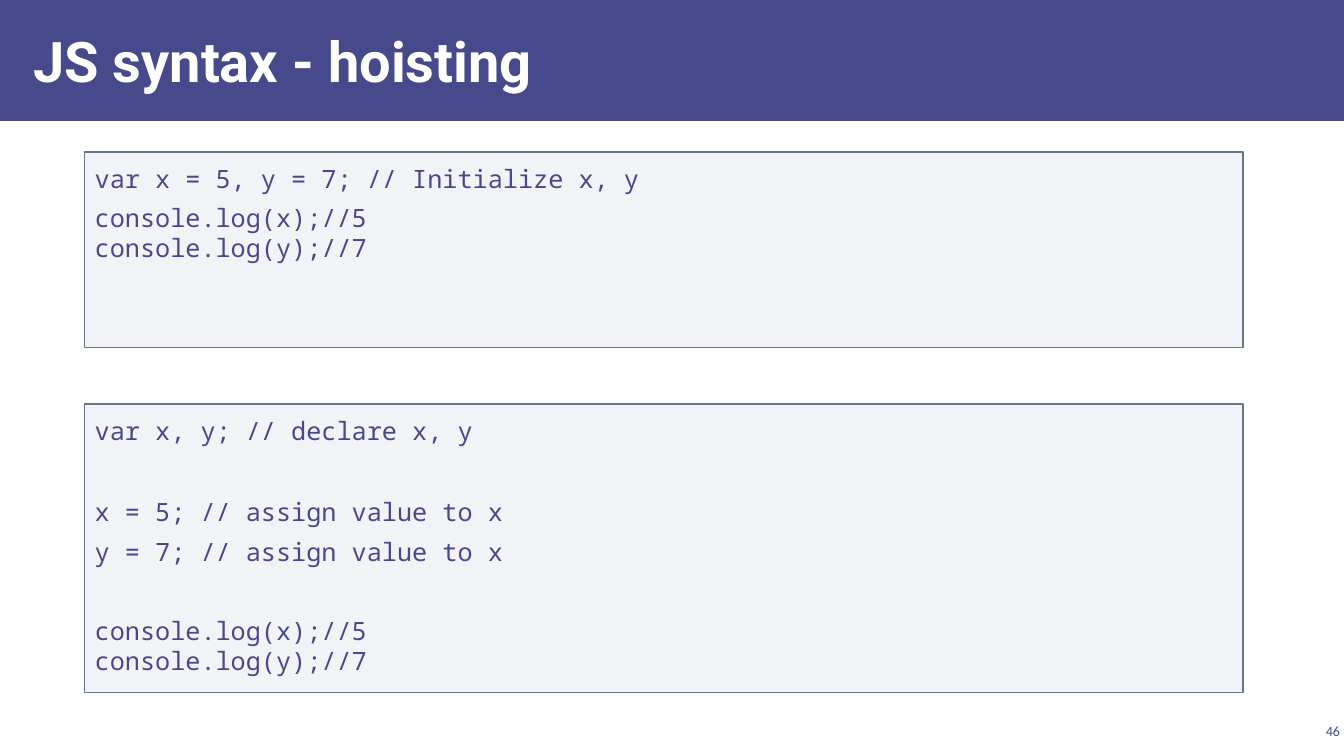
from lxml import etree
from pptx import Presentation
from pptx import util as u
from pptx.dml.color import RGBColor
from pptx.enum import shapes, text
from pptx.oxml.ns import qn

# Content: code lines as (text, line spacing, space before in points)
TITLE = "JS syntax - hoisting"
PAGE = "46"
LOOSE, TIGHT = 1.05, 1.0
GAP = 6
BREAK = 34.7  # gap plus the height of one skipped line
LOGS = ("console.log(x);//5", "console.log(y);//7")
PANELS = [  # top, height, code
    (1.51, 1.94, [
        ("var x = 5, y = 7; // Initialize x, y", LOOSE, 0),
        (LOGS[0], TIGHT, GAP),
        (LOGS[1], TIGHT, 0),
    ]),
    (4.01, 2.86, [
        ("var x, y; // declare x, y", LOOSE, 0),
        ("x = 5; // assign value to x", LOOSE, BREAK),
        ("y = 7; // assign value to x", LOOSE, GAP),
        (LOGS[0], TIGHT, BREAK),
        (LOGS[1], TIGHT, 0),
    ]),
]

INDIGO = RGBColor(0x47, 0x4A, 0x8A)
WHITE = RGBColor(0xFF, 0xFF, 0xFF)
GREY = RGBColor(0xAC, 0xB4, 0xC3)
SLATE = RGBColor(0x67, 0x74, 0x8E)
W, H = 13.33, 7.5
MARGIN, PANEL_W = 0.84, 11.49

prs = Presentation()
prs.slide_width, prs.slide_height = u.Inches(W), u.Inches(H)
s = prs.slides.add_slide(prs.slide_layouts[6])


def add_rect(x, y, w, h, fill):
    sp = s.shapes.add_shape(shapes.MSO_SHAPE.RECTANGLE, *map(u.Inches, (x, y, w, h)))
    sp.shadow.inherit = False
    sp.fill.solid()
    sp.fill.fore_color.rgb = fill
    sp.line.fill.background()
    return sp


def set_frame(sp, inset_x, inset_y, anchor):
    tf = sp.text_frame
    tf.word_wrap = True
    tf.margin_left = tf.margin_right = u.Inches(inset_x)
    tf.margin_top = tf.margin_bottom = u.Inches(inset_y)
    tf.vertical_anchor = anchor
    return tf


def write(p, words, font, size, color, bold=False, align=text.PP_ALIGN.LEFT):
    p.text = words
    p.alignment = align
    p.font.name, p.font.size, p.font.bold = font, u.Pt(size), bold
    p.font.color.rgb = color


# Title band
add_rect(0, 0, W, 0.16 * H, INDIGO)
title = s.shapes.add_textbox(*map(u.Inches, (0.21, 0.11, 10.4, 0.97)))
tf = set_frame(title, 0.12, 0.04, text.MSO_ANCHOR.MIDDLE)
write(tf.paragraphs[0], TITLE, "Roboto", 40, WHITE, bold=True)

# Page number
number = s.shapes.add_textbox(*map(u.Inches, (W - 0.47, 7.14, 0.47, 0.22)))
tf = set_frame(number, 0.04, 0.04, text.MSO_ANCHOR.MIDDLE)
write(tf.paragraphs[0], PAGE, "Calibri", 10, INDIGO, align=text.PP_ALIGN.RIGHT)

# Code panels
for top, height, code in PANELS:
    panel = add_rect(MARGIN, top, PANEL_W, height, GREY)
    tint = panel.fill._xPr.find(qn("a:solidFill"))[0]
    etree.SubElement(tint, qn("a:alpha")).set("val", "15000")
    panel.line.color.rgb = SLATE
    panel.line.width = u.Pt(1)
    tf = set_frame(panel, 0.1, 0.1, text.MSO_ANCHOR.TOP)
    for i, (line, spacing, before) in enumerate(code):
        p = tf.add_paragraph() if i else tf.paragraphs[0]
        write(p, line, "Noto Sans Mono", 18, INDIGO)
        p.line_spacing = spacing
        p.space_before = u.Pt(before)

prs.save("out.pptx")
